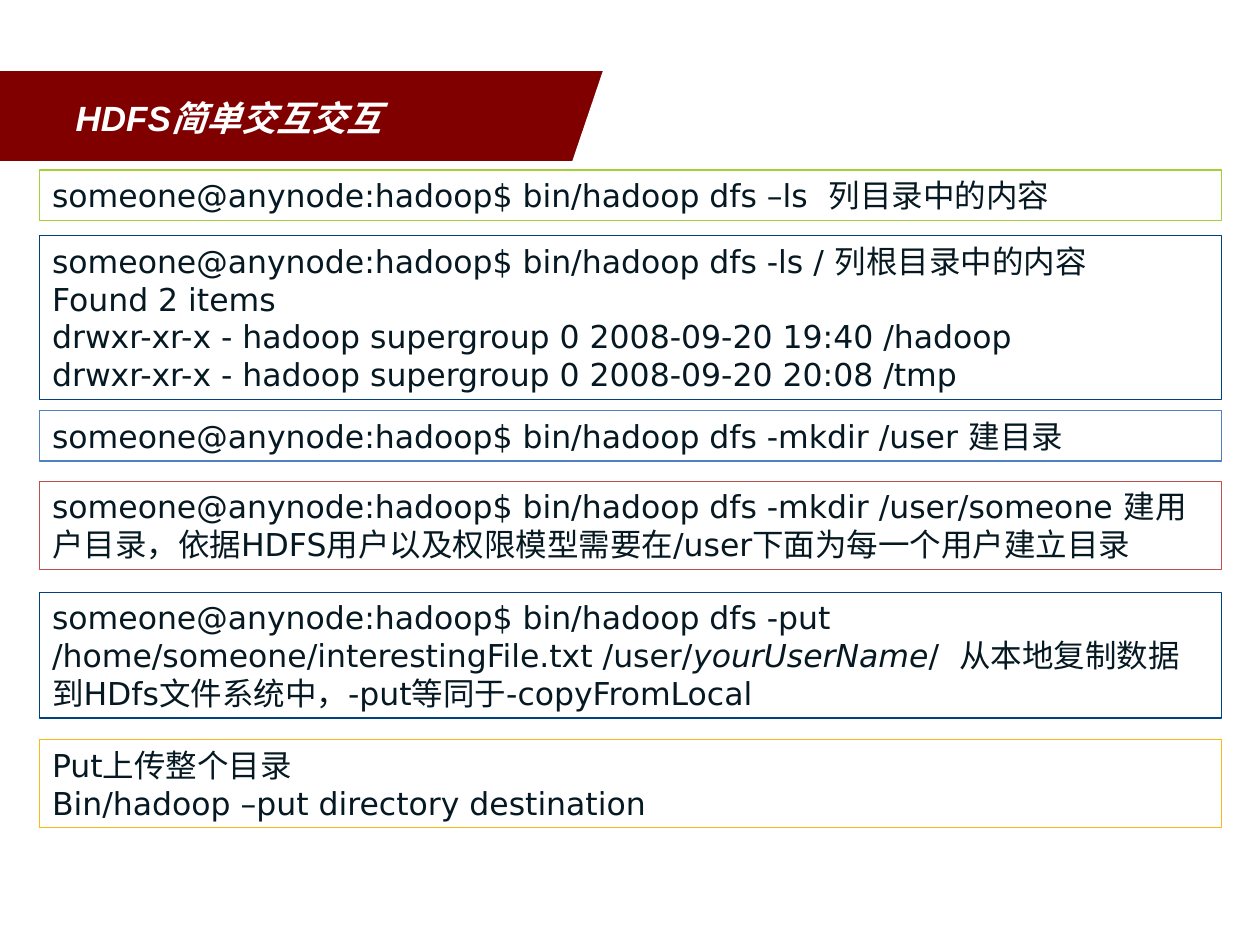
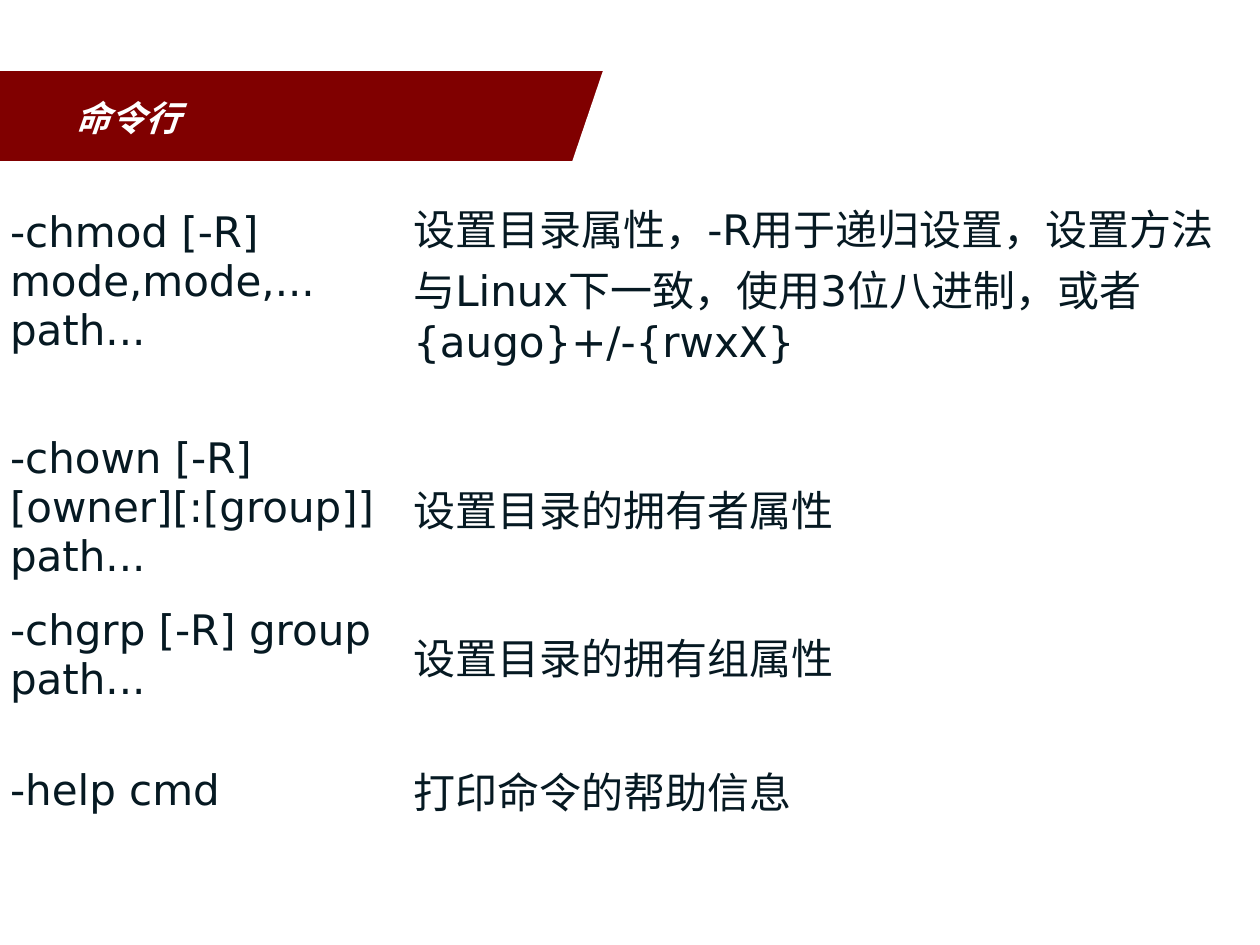
from typing import NamedTuple

from lxml import etree
from pptx import Presentation
from pptx import util as u
from pptx.dml.color import RGBColor
from pptx.enum import shapes, text
from pptx.oxml.ns import qn

# The slide is a grid of 100 columns by 75 rows.
COLUMNS, ROWS = 100, 75
CELL = u.Inches(0.1)

MAROON, WHITE, INK = "800000", "FFFFFF", "061922"
LIME, NAVY, BLUE, RED, AMBER = "A6CE39", "004280", "4F81BD", "C0504D", "FDB813"
TITLE_FONT, BODY_FONT, CHINESE_FONT = "Arial", "DejaVu Sans", "Noto Sans CJK SC"

PLAIN_TABLE_STYLE = "{2D5ABB26-0587-4C30-8999-92F81FD0307C}"

PROMPT = "someone@anynode:hadoop$ bin/hadoop dfs"
EMPHASIS = "*"


class BandPart(NamedTuple):
    preset: shapes.MSO_SHAPE
    left: float
    top: float
    width: float
    height: float
    fill: str
    border_width: float
    rotation: float = 0


class Command(NamedTuple):
    top: float
    lines: int
    border: str
    paragraphs: list[str]


class Option(NamedTuple):
    rows: float
    usage: str
    meaning: str


# The maroon bar gets its slanted end from the white triangle and panel.
TITLE_BAND = [
    BandPart(shapes.MSO_SHAPE.RECTANGLE, 0, 5.7, 86.4, 7, MAROON, 0.75),
    BandPart(shapes.MSO_SHAPE.RIGHT_TRIANGLE, -0.3, 24.7, 74.9, 25.4, WHITE, 1, 270),
    BandPart(shapes.MSO_SHAPE.RECTANGLE, 49.8, 0, 50.2, 74.9, WHITE, 1),
]

COMMANDS = [
    Command(13.5, 1, LIME, [f"{PROMPT} –ls  列目录中的内容"]),
    Command(18.7, 4, NAVY, [
        f"{PROMPT} -ls / 列根目录中的内容",
        "Found 2 items",
        "drwxr-xr-x - hadoop supergroup 0 2008-09-20 19:40 /hadoop",
        "drwxr-xr-x - hadoop supergroup 0 2008-09-20 20:08 /tmp",
    ]),
    Command(32.6, 1, BLUE, [f"{PROMPT} -mkdir /user 建目录"]),
    Command(38.2, 2, RED, [
        f"{PROMPT} -mkdir /user/someone 建用户目录，依据HDFS用户以及权限模型"
        "需要在/user下面为每一个用户建立目录",
    ]),
    Command(47, 3, NAVY, [
        f"{PROMPT} -put /home/someone/interestingFile.txt /user/*yourUserName*/  "
        "从本地复制数据到HDfs文件系统中，-put等同于-copyFromLocal",
    ]),
    Command(58.7, 2, AMBER, ["Put上传整个目录", "Bin/hadoop –put directory destination"]),
]

OPTIONS = [
    Option(23, "-chmod [-R] mode,mode,... path...",
           "设置目录属性，-R用于递归设置，设置方法与Linux下一致，使用3位八进制，或者 {augo}+/-{rwxX}"),
    Option(12.8, "-chown [-R] [owner][:[group]] path...", "设置目录的拥有者属性"),
    Option(10.7, "-chgrp [-R] group path...", "设置目录的拥有组属性"),
    Option(10.7, "-help cmd", "打印命令的帮助信息"),
]


def color(hex_code: str) -> RGBColor:
    return RGBColor.from_string(hex_code)


def grid(*cells: float) -> list[int]:
    return [u.Emu(round(count * CELL)) for count in cells]


def paint(shape, fill: str, border: str, border_width: float = 0.75) -> None:
    shape.shadow.inherit = False
    shape.fill.solid()
    shape.fill.fore_color.rgb = color(fill)
    shape.line.color.rgb = color(border)
    shape.line.width = u.Pt(border_width)


def style_runs(frame, size: float, hex_code: str = INK, face: str = BODY_FONT) -> None:
    """Format every run, with a separate face for Chinese characters."""
    for paragraph in frame.paragraphs:
        paragraph.alignment = text.PP_ALIGN.LEFT
        for run in paragraph.runs:
            run.font.size = u.Pt(size)
            run.font.name = face
            run.font.color.rgb = color(hex_code)
            latin = run.font._element.find(qn("a:latin"))
            east_asian = etree.Element(qn("a:ea"), typeface=CHINESE_FONT)
            latin.addnext(east_asian)


def add_title_band(slide) -> None:
    """Draw the band behind the title."""
    for part in TITLE_BAND:
        shape = slide.shapes.add_shape(
            part.preset, *grid(part.left, part.top, part.width, part.height))
        shape.rotation = part.rotation
        paint(shape, part.fill, part.fill, part.border_width)
        slide.shapes.title._element.addprevious(shape._element)


def add_titled_slide(deck, heading: str):
    slide = deck.slides.add_slide(deck.slide_layouts[5])
    title = slide.shapes.title
    title.left, title.top, title.width, title.height = grid(5, 4.5, 90, 9.7)
    frame = title.text_frame
    frame.text = heading
    frame.auto_size = text.MSO_AUTO_SIZE.NONE
    frame.vertical_anchor = text.MSO_ANCHOR.MIDDLE
    style_runs(frame, 20, WHITE, TITLE_FONT)
    for run in frame.paragraphs[0].runs:
        run.font.bold = run.font.italic = True
    add_title_band(slide)
    return slide


def write_emphasized(paragraph, content: str) -> None:
    """Set the parts between emphasis marks in italics."""
    for index, part in enumerate(content.split(EMPHASIS)):
        run = paragraph.add_run()
        run.text = part
        if index % 2:
            run.font.italic = True


def add_command(slide, command: Command) -> None:
    box = slide.shapes.add_shape(
        shapes.MSO_SHAPE.RECTANGLE,
        *grid(3.15, command.top, 93.8, 1 + 3 * command.lines))
    paint(box, WHITE, command.border)
    frame = box.text_frame
    frame.word_wrap = True
    frame.auto_size = text.MSO_AUTO_SIZE.SHAPE_TO_FIT_TEXT
    frame.vertical_anchor = text.MSO_ANCHOR.TOP
    for index, content in enumerate(command.paragraphs):
        paragraph = frame.add_paragraph() if index else frame.paragraphs[0]
        write_emphasized(paragraph, content)
    style_runs(frame, 18)


def add_option_table(slide, options: list[Option]) -> None:
    height = sum(option.rows for option in options)
    table = slide.shapes.add_table(
        len(options), 2, *grid(0, 10.9, COLUMNS, height)).table
    table.first_row = table.horz_banding = False
    table._tbl.tblPr.find(qn("a:tableStyleId")).text = PLAIN_TABLE_STYLE
    for column, width in zip(table.columns, grid(32, 68)):
        column.width = width
    for row, option in zip(table.rows, options):
        row.height, = grid(option.rows)
        for cell, content in zip(row.cells, (option.usage, option.meaning)):
            cell.fill.background()
            cell.vertical_anchor = text.MSO_ANCHOR.MIDDLE
            cell.margin_left = cell.margin_right = u.Inches(0.08)
            cell.text_frame.text = content
            style_runs(cell.text_frame, 24)


def main() -> None:
    deck = Presentation()
    deck.slide_width, deck.slide_height = grid(COLUMNS, ROWS)

    interaction = add_titled_slide(deck, "HDFS简单交互交互")
    for command in COMMANDS:
        add_command(interaction, command)

    command_line = add_titled_slide(deck, "命令行")
    add_option_table(command_line, OPTIONS)

    deck.save("out.pptx")


if __name__ == "__main__":
    main()
